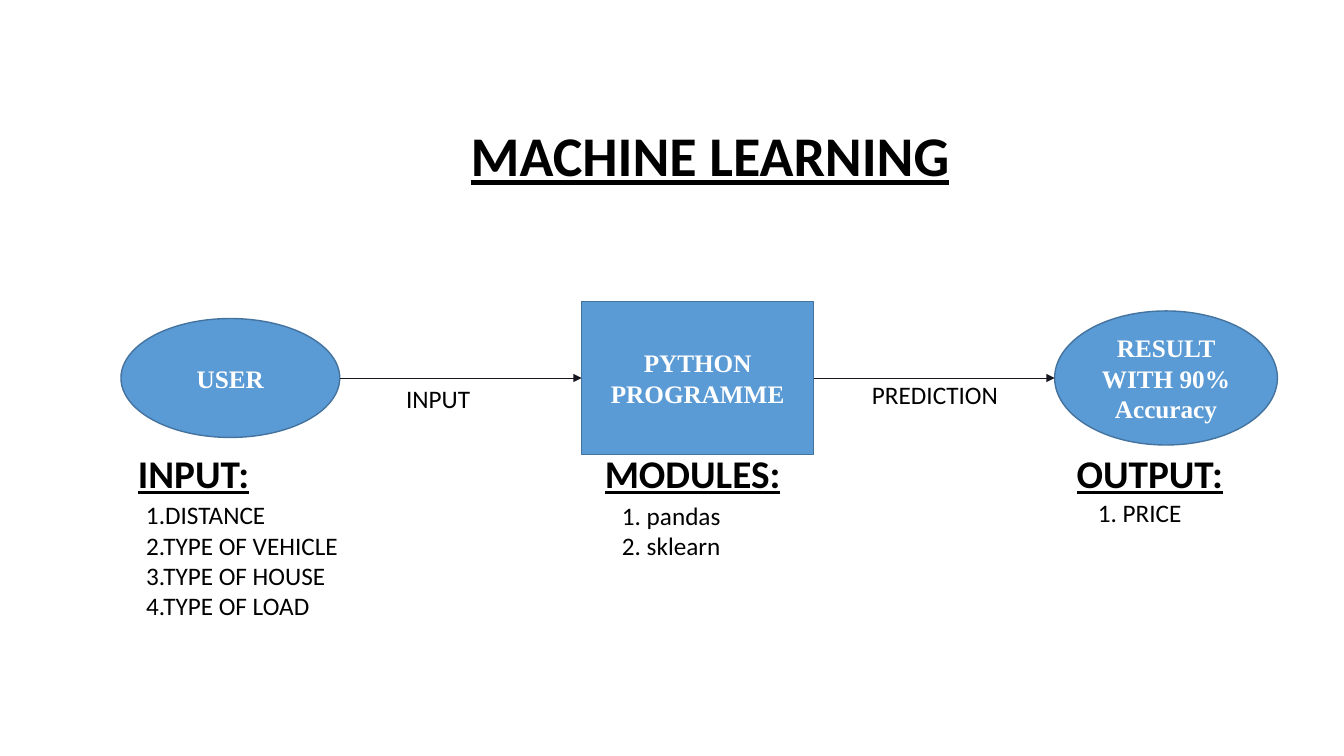
from lxml.etree import SubElement
from pptx import Presentation
from pptx.dml.color import RGBColor
from pptx.enum.shapes import MSO_CONNECTOR, MSO_SHAPE
from pptx.enum.text import MSO_ANCHOR, MSO_AUTO_SIZE, PP_ALIGN
from pptx.oxml.ns import qn
from pptx.util import Inches, Pt

FLOW_Y = 3.75
RECTANGLE_LEFT, RECTANGLE_RIGHT = 1, 3  # connection sites


def color(hex_value):
    """Turn a hex string into a colour."""
    return RGBColor.from_string(hex_value)


def write_text(frame, text, size=18, font="Calibri", fill="000000",
               bold=False, underline=False, align=PP_ALIGN.LEFT):
    """Write one paragraph for each line of text."""
    for index, line in enumerate(text.split("\n")):
        paragraph = frame.add_paragraph() if index else frame.paragraphs[0]
        paragraph.alignment = align
        run = paragraph.add_run()
        run.text = line
        run.font.size = Pt(size)
        run.font.name = font
        run.font.bold = bold
        run.font.underline = underline
        run.font.color.rgb = color(fill)


def add_label(slide, text, left, top, width, height, wrap=False, **style):
    """Add a text box that grows with its text."""
    box = slide.shapes.add_textbox(
        Inches(left), Inches(top), Inches(width), Inches(height))
    box.text_frame.word_wrap = wrap
    box.text_frame.auto_size = MSO_AUTO_SIZE.SHAPE_TO_FIT_TEXT
    write_text(box.text_frame, text, **style)


def add_heading(slide, text, left, top, width, height, size=28):
    """Add a bold underlined heading."""
    add_label(slide, text, left, top, width, height,
              size=size, bold=True, underline=True)


def add_node(slide, kind, text, left, width, height):
    """Add a blue flow node centred on the flow line."""
    node = slide.shapes.add_shape(
        kind, Inches(left), Inches(FLOW_Y - height / 2),
        Inches(width), Inches(height))
    node.shadow.inherit = False
    node.fill.solid()
    node.fill.fore_color.rgb = color("5B9BD5")
    node.line.color.rgb = color("43739E")
    node.line.width = Pt(1)
    node.text_frame.word_wrap = True
    node.text_frame.vertical_anchor = MSO_ANCHOR.MIDDLE
    write_text(node.text_frame, text, font="Times New Roman", fill="FFFFFF",
               bold=True, align=PP_ALIGN.CENTER)
    return node


def add_arrow(slide, start, end):
    """Add an arrow from the right of one node to the left of the next."""
    arrow = slide.shapes.add_connector(
        MSO_CONNECTOR.STRAIGHT, start.left + start.width, Inches(FLOW_Y),
        end.left, Inches(FLOW_Y))
    arrow.line.color.rgb = color("171722")
    arrow.line.width = Pt(0.5)
    SubElement(arrow.line._get_or_add_ln(), qn("a:tailEnd"), type="triangle")
    SubElement(arrow._element.spPr, qn("a:effectLst"))
    return arrow


def main():
    """Build the machine learning flow slide."""
    presentation = Presentation()
    presentation.slide_width = Inches(13.33)
    presentation.slide_height = Inches(7.5)
    slide = presentation.slides.add_slide(presentation.slide_layouts[6])

    add_heading(slide, "MACHINE LEARNING", 4.57, 1.15, 5, 0.77, size=40)

    programme = add_node(slide, MSO_SHAPE.RECTANGLE, "PYTHON\nPROGRAMME",
                         5.77, 2.3, 1.52)
    user = add_node(slide, MSO_SHAPE.OVAL, "USER", 1.2, 2.17, 1.18)
    result = add_node(slide, MSO_SHAPE.OVAL, "RESULT WITH 90% Accuracy",
                      10.46, 2.21, 1.33)
    add_arrow(slide, user, programme).end_connect(programme, RECTANGLE_LEFT)
    add_arrow(slide, programme, result).begin_connect(
        programme, RECTANGLE_RIGHT)
    add_label(slide, "INPUT", 3.93, 3.75, 0.84, 0.4)
    add_label(slide, "PREDICTION", 8.55, 3.71, 1.49, 0.4, wrap=True)

    for text, left, width in (("INPUT:", 1.27, 1.32),
                              ("MODULES:", 5.9, 1.96),
                              ("OUTPUT:", 10.58, 1.67)):
        add_heading(slide, text, left, 4.41, width, 0.57)

    for text, left, top, width, height in (
            ("1.DISTANCE", 1.35, 4.9, 1.4, 0.4),
            ("2.TYPE OF VEHICLE\n3.TYPE OF HOUSE\n4.TYPE OF LOAD",
             1.35, 5.21, 2.12, 1.01),
            ("1. pandas\n2. sklearn", 6.07, 4.91, 1.22, 0.71),
            ("1. PRICE", 10.79, 4.88, 1.04, 0.4)):
        add_label(slide, text, left, top, width, height)

    presentation.save("out.pptx")


main()
